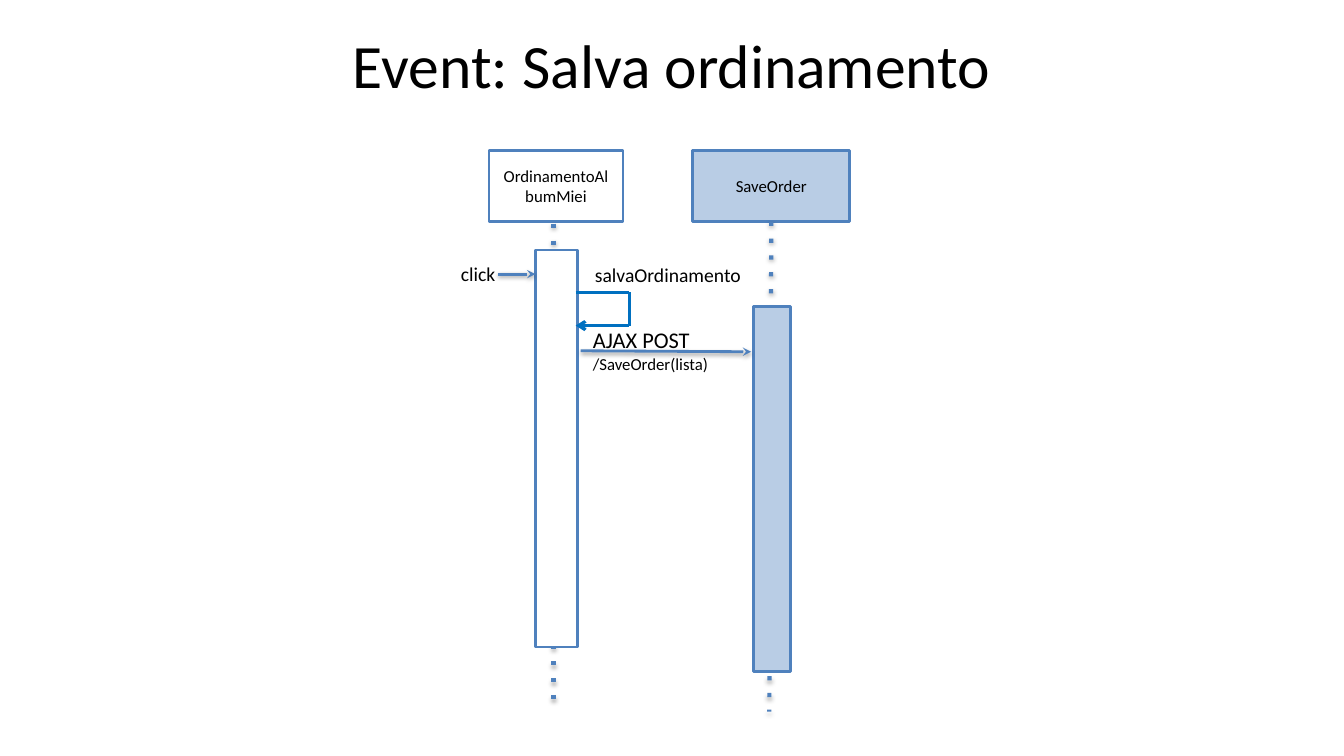
"""Build the sequence diagram slide for the save-order event."""
from itertools import pairwise
from lxml.etree import SubElement
from pptx import Presentation
from pptx.dml.color import RGBColor
from pptx.enum.shapes import MSO_CONNECTOR, MSO_SHAPE
from pptx.enum.text import MSO_ANCHOR, PP_ALIGN
from pptx.oxml.ns import qn
from pptx.util import Inches, Pt

BLACK = RGBColor(0x00, 0x00, 0x00)
WHITE = RGBColor(0xFF, 0xFF, 0xFF)
PALE = RGBColor(0xB9, 0xCD, 0xE5)
BLUE = RGBColor(0x4F, 0x81, 0xBD)
LOOP_BLUE = RGBColor(0x00, 0x70, 0xC0)

WIDTH, HEIGHT = 13.33, 7.5
HEAD_TOP, HEAD_H = 1.49, 0.71
LIFE_TOP, LIFE_END = 2.22, 7.06

TITLE = ("Event: Salva ordinamento", 44)
ACTORS = [
    {"name": "OrdinamentoAlbumMiei", "fill": WHITE, "head": (4.85, 1.33),
     "bar": (5.31, 2.48, 0.42, 3.94), "life": (5.49, 5.49)},
    {"name": "SaveOrder", "fill": PALE, "head": (6.87, 1.56),
     "bar": (7.47, 3.04, 0.37, 3.62), "life": (7.65, 7.63)},
]
ARROWS = [((4.94, 2.72), (5.31, 2.72)), ((5.76, 3.48), (7.45, 3.49))]
LOOP = [(5.71, 2.9), (6.24, 2.9), (6.24, 3.23), (5.71, 3.23)]
LABELS = [
    ((4.45, 2.54, 1.52, 0.61), [("click", 14)]),
    ((5.78, 2.55, 1.84, 0.37), [("salvaOrdinamento", 14)]),
    ((5.76, 3.18, 1.71, 0.98), [("AJAX POST", 16), ("/SaveOrder(lista)", 12)]),
]


def write(sp, lines, align=PP_ALIGN.LEFT, anchor=MSO_ANCHOR.TOP, inset=(0.12, 0.06)):
    tf = sp.text_frame
    tf.word_wrap = True
    tf.vertical_anchor = anchor
    tf.margin_left = tf.margin_right = Inches(inset[0])
    tf.margin_top = tf.margin_bottom = Inches(inset[1])
    tf.text = "\n".join(text for text, _ in lines)
    for p, (_, size) in zip(tf.paragraphs, lines):
        p.alignment = align
        font = p.runs[0].font
        font.name, font.size = "Calibri", Pt(size)
        font.color.rgb = BLACK


def add_label(s, box, lines, **style):
    write(s.shapes.add_textbox(*map(Inches, box)), lines, **style)


def add_box(s, box, fill):
    sp = s.shapes.add_shape(MSO_SHAPE.RECTANGLE, *map(Inches, box))
    sp.shadow.inherit = False
    sp.fill.solid()
    sp.fill.fore_color.rgb = fill
    sp.line.color.rgb = BLUE
    sp.line.width = Pt(2)
    return sp


def add_line(shapes, start, end, color, width, dash=None, tail=None, shadow=None):
    cx = shapes.add_connector(MSO_CONNECTOR.STRAIGHT, *map(Inches, start + end))
    cx.line.color.rgb = color
    cx.line.width = Pt(width)
    ln = cx.line._get_or_add_ln()
    if dash:
        SubElement(ln, qn("a:prstDash"), val=dash)
    if tail:
        SubElement(ln, qn("a:tailEnd"), type=tail)
    effects = SubElement(cx._element.spPr, qn("a:effectLst"))
    if shadow:
        alpha, dist = shadow
        outer = SubElement(effects, qn("a:outerShdw"), blurRad=str(Pt(3.1)),
                           dist=str(Pt(dist)), dir="5400000", rotWithShape="0")
        clr = SubElement(outer, qn("a:srgbClr"), val=str(BLACK))
        SubElement(clr, qn("a:alpha"), val=str(alpha * 1000))
    return cx


def add_actor(s, actor):
    left, width = actor["head"]
    top_x, end_x = actor["life"]
    head = add_box(s, (left, HEAD_TOP, width, HEAD_H), actor["fill"])
    write(head, [(actor["name"], 12)], PP_ALIGN.CENTER, MSO_ANCHOR.MIDDLE)
    life = add_line(s.shapes, (top_x, LIFE_TOP), (end_x, LIFE_END), BLUE, 3,
                    dash="dot", shadow=(35, 1.8))
    if abs(left + width / 2 - top_x) < 0.01:
        life.begin_connect(head, 2)
    add_box(s, actor["bar"], actor["fill"])


def main():
    prs = Presentation()
    prs.slide_width, prs.slide_height = Inches(WIDTH), Inches(HEIGHT)
    s = prs.slides.add_slide(prs.slide_layouts[6])
    add_label(s, (0, 0.16, WIDTH, 0.94), [TITLE], align=PP_ALIGN.CENTER,
              anchor=MSO_ANCHOR.MIDDLE, inset=(0.1, 0.05))
    for actor in ACTORS:
        add_actor(s, actor)
    for start, end in ARROWS:
        add_line(s.shapes, start, end, BLUE, 2, tail="stealth", shadow=(38, 1.6))
    loop = s.shapes.add_group_shape()
    for start, end in pairwise(LOOP):
        tail = "arrow" if end == LOOP[-1] else None
        add_line(loop.shapes, start, end, LOOP_BLUE, 2.25, tail=tail)
    for box, lines in LABELS:
        add_label(s, box, lines)
    prs.save("out.pptx")


if __name__ == "__main__":
    main()
